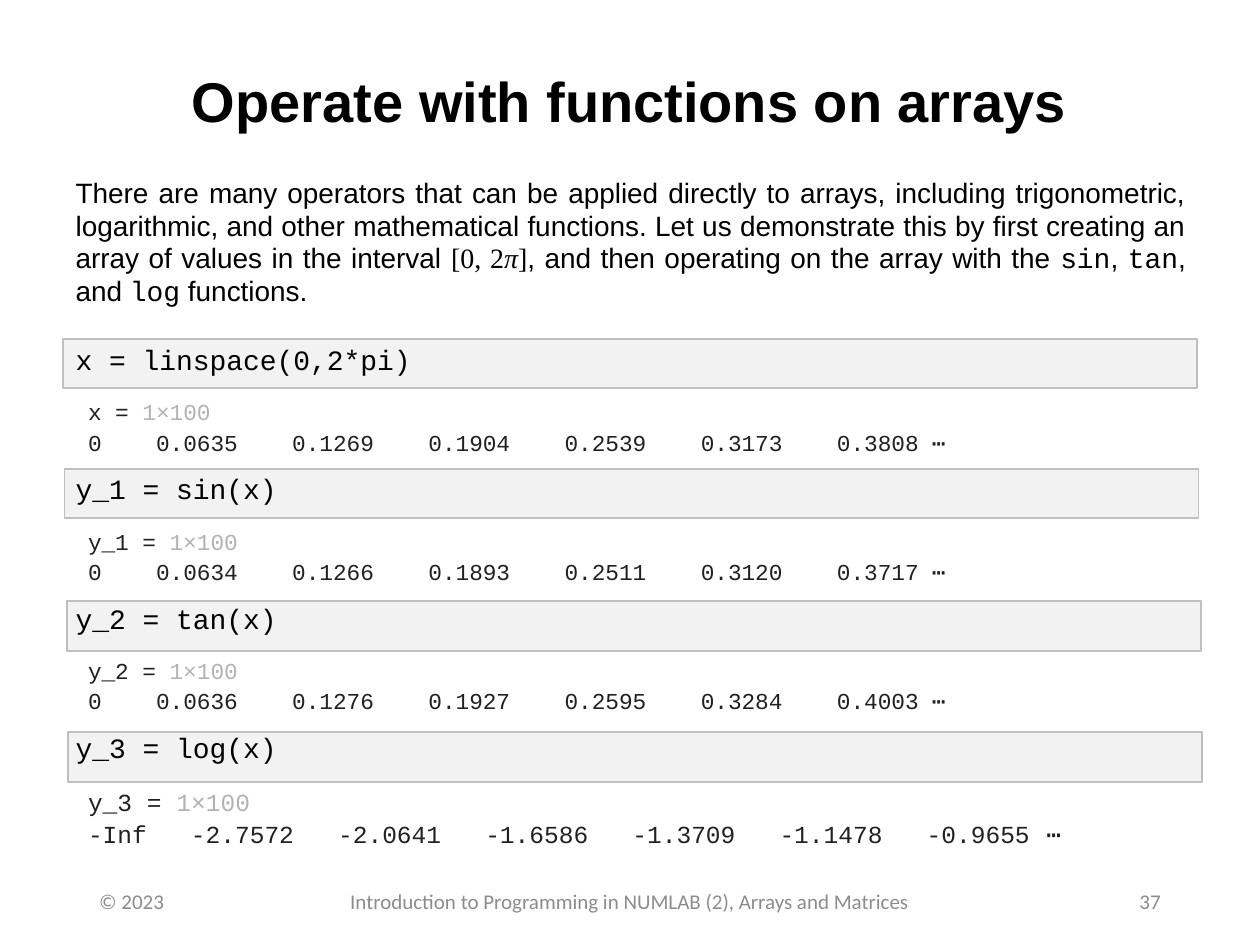
from dataclasses import dataclass

from lxml import etree
from pptx import Presentation
from pptx.dml.color import RGBColor
from pptx.enum.shapes import MSO_SHAPE
from pptx.enum.text import MSO_ANCHOR, MSO_AUTO_SIZE, PP_ALIGN
from pptx.oxml.ns import qn
from pptx.util import Cm, Pt

RECTANGLE = MSO_SHAPE.RECTANGLE
TOP, MIDDLE = MSO_ANCHOR.TOP, MSO_ANCHOR.MIDDLE
LEFT, CENTER, RIGHT, JUSTIFY = PP_ALIGN.LEFT, PP_ALIGN.CENTER, PP_ALIGN.RIGHT, PP_ALIGN.JUSTIFY
NO_AUTOFIT = MSO_AUTO_SIZE.NONE

COLORS = {"text": "000000", "output": "212121", "dimensions": "B3B3B3",
          "footer": "8C8C8C", "code_fill": "F2F2F2", "code_line": "BFBFBF"}
SANS, SERIF, MONO, FOOTER_FONT = "Arial", "Times New Roman", "Courier New", "Calibri"
OUTPUT_INDENT = Cm(0.25)


@dataclass
class Example:
    code: str
    left: float
    top: float
    values: str
    size: int = 13

    @property
    def variable(self) -> str:
        return self.code.split(" = ")[0]


@dataclass
class Footer:
    text: str
    left: float
    width: float
    align: PP_ALIGN


EXAMPLES = [
    Example("x = linspace(0,2*pi)", 1.27, 6.83,
            "0    0.0635    0.1269    0.1904    0.2539    0.3173    0.3808 ⋯"),
    Example("y_1 = sin(x)", 1.3, 9.45,
            "0    0.0634    0.1266    0.1893    0.2511    0.3120    0.3717 ⋯"),
    Example("y_2 = tan(x)", 1.35, 12.12,
            "0    0.0636    0.1276    0.1927    0.2595    0.3284    0.4003 ⋯"),
    Example("y_3 = log(x)", 1.37, 14.76,
            "-Inf   -2.7572   -2.0641   -1.6586   -1.3709   -1.1478   -0.9655 ⋯", 14),
]
FOOTERS = [
    Footer("© 2023", 1.75, 5.72, LEFT),
    Footer("Introduction to Programming in NUMLAB (2), Arrays and Matrices", 4.72, 15.95, CENTER),
    Footer("37", 17.93, 5.72, RIGHT),
]
INTRODUCTION = [
    ("There are many operators that can be applied directly to arrays, including "
     "trigonometric, logarithmic, and other mathematical functions. Let us demonstrate "
     "this by first creating an array of values in the interval ", SANS, False),
    ("[0, 2", SERIF, False), ("π", SERIF, True), ("]", SERIF, False),
    (", and then operating on the array with the ", SANS, False),
    ("sin", MONO, False), (", ", SANS, False), ("tan", MONO, False),
    (", and ", SANS, False), ("log", MONO, False), (" functions.", SANS, False),
]


def write(para, text: str, *, size: int = 16, font: str = SANS, color: str = "text",
          bold: bool = False, italic: bool = False) -> None:
    span = para.add_run()
    span.text = text
    span.font.size = Pt(size)
    span.font.name = font
    span.font.bold = bold
    span.font.italic = italic
    span.font.color.rgb = RGBColor.from_string(COLORS[color])


def place(shape, left: float, top: float, width: float, height: float) -> None:
    shape.left, shape.top = Cm(left), Cm(top)
    shape.width, shape.height = Cm(width), Cm(height)


def prepare_frame(shape, anchor: MSO_ANCHOR):
    frame = shape.text_frame
    frame.word_wrap = True
    frame.auto_size = NO_AUTOFIT
    frame.vertical_anchor = anchor
    return frame


def format_body(para, *, line: float, gap: float, first: bool = False,
                indent: int = 0) -> None:
    properties = para._p.get_or_add_pPr()
    properties.set("marL", str(indent))
    properties.set("indent", "0")
    etree.SubElement(properties, qn("a:buNone"))
    para.alignment = JUSTIFY
    para.line_spacing = line
    para.space_before = Pt(0 if first else gap)
    para.space_after = Pt(gap)


def draw_code_band(page, example: Example) -> None:
    band = page.shapes.add_shape(RECTANGLE, Cm(example.left), Cm(example.top), Cm(22.86), Cm(1))
    band.shadow.inherit = False
    band.fill.solid()
    band.fill.fore_color.rgb = RGBColor.from_string(COLORS["code_fill"])
    band.line.color.rgb = RGBColor.from_string(COLORS["code_line"])
    band.line.width = Pt(1)
    page.shapes.title.element.addprevious(band.element)


def write_example(frame, example: Example) -> None:
    code = frame.add_paragraph()
    format_body(code, line=0.97, gap=10.5)
    write(code, example.code, font=MONO)

    name = frame.add_paragraph()
    format_body(name, line=1.1, gap=0, indent=OUTPUT_INDENT)
    write(name, f"{example.variable} = ", size=example.size, font=MONO, color="output")
    write(name, "1×100", size=example.size, font=MONO, color="dimensions")

    row = frame.add_paragraph()
    format_body(row, line=1.1, gap=0, indent=OUTPUT_INDENT)
    write(row, example.values, size=example.size, font=MONO, color="output")


def draw_footer(page, footer: Footer) -> None:
    box = page.shapes.add_textbox(Cm(footer.left), Cm(17.65), Cm(footer.width), Cm(1.02))
    para = prepare_frame(box, MIDDLE).paragraphs[0]
    para.alignment = footer.align
    write(para, footer.text, size=12, font=FOOTER_FONT, color="footer")


def main() -> None:
    deck = Presentation()
    deck.slide_width, deck.slide_height = Cm(25.4), Cm(19.05)
    page = deck.slides.add_slide(deck.slide_layouts[1])

    title = page.shapes.title
    place(title, 1.75, 1.02, 21.89, 2.16)
    heading = prepare_frame(title, MIDDLE).paragraphs[0]
    heading.alignment = CENTER
    heading.line_spacing = 0.9
    write(heading, "Operate with functions on arrays", size=32, bold=True)

    body = page.placeholders[1]
    place(body, 1.27, 3.45, 22.89, 14.2)
    frame = prepare_frame(body, TOP)
    introduction = frame.paragraphs[0]
    format_body(introduction, line=0.97, gap=10.5, first=True)
    for text, font, italic in INTRODUCTION:
        write(introduction, text, font=font, italic=italic)

    for example in EXAMPLES:
        draw_code_band(page, example)
        write_example(frame, example)
    for footer in FOOTERS:
        draw_footer(page, footer)

    deck.save("out.pptx")


if __name__ == "__main__":
    main()
